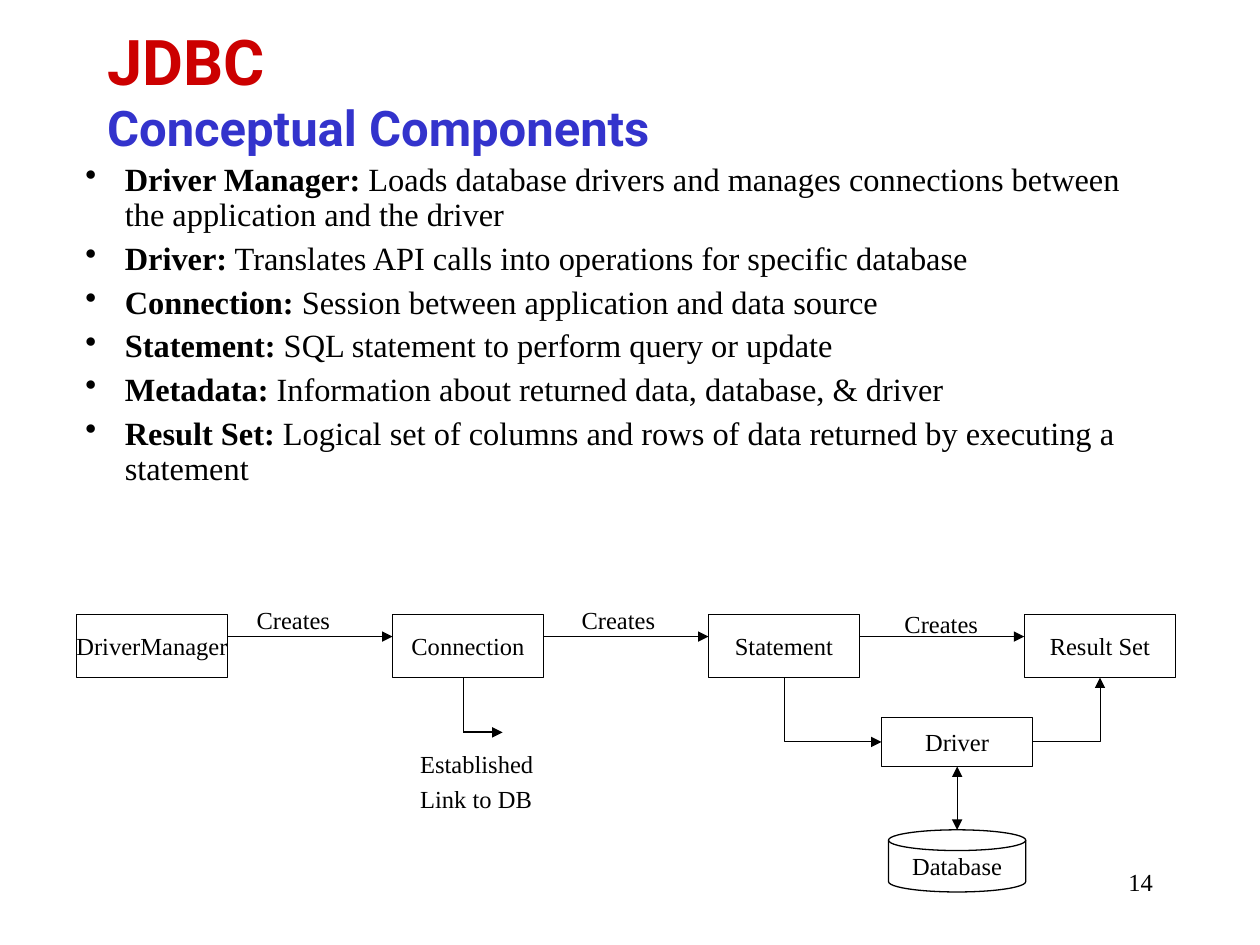
from lxml import etree
from pptx import Presentation
from pptx.dml.color import RGBColor
from pptx.enum.shapes import MSO_CONNECTOR, MSO_SHAPE
from pptx.enum.text import MSO_ANCHOR, MSO_AUTO_SIZE, PP_ALIGN
from pptx.oxml.ns import qn
from pptx.util import Pt

BLACK = RGBColor(0x00, 0x00, 0x00)
RED = RGBColor(0xCC, 0x00, 0x00)
BLUE = RGBColor(0x33, 0x33, 0xCC)
SERIF, SANS = "Times New Roman", "Roboto"
LEFT, CENTER, RIGHT = PP_ALIGN.LEFT, PP_ALIGN.CENTER, PP_ALIGN.RIGHT
MIDDLE = MSO_ANCHOR.MIDDLE
NONE, GROW = MSO_AUTO_SIZE.NONE, MSO_AUTO_SIZE.SHAPE_TO_FIT_TEXT
RECT, DISK = MSO_SHAPE.RECTANGLE, MSO_SHAPE.FLOWCHART_MAGNETIC_DISK
LINE, ELBOW = MSO_CONNECTOR.STRAIGHT, MSO_CONNECTOR.ELBOW
TOP, SIDE, BOTTOM, END = range(4)

TERMS = [
    ("Driver Manager:", " Loads database drivers and manages connections "
     "between the application and the driver"),
    ("Driver:", " Translates API calls into operations for specific database"),
    ("Connection:", " Session between application and data source"),
    ("Statement:", " SQL statement to perform query or update"),
    ("Metadata:", " Information about returned data, database, & driver"),
    ("Result Set:", " Logical set of columns and rows of data returned by "
     "executing a statement"),
]
STEPS = ["DriverManager", "Connection", "Statement", "Result Set"]


def pts(*nums):
    return [Pt(num) for num in nums]


def add_run(para, text, size, color=BLACK, bold=False, face=SERIF):
    run = para.add_run()
    run.text = text
    run.font.size = Pt(size)
    run.font.name = face
    run.font.bold = bold
    run.font.color.rgb = color


def add_text(slide, box, lines, align=LEFT, wrap=False, fit=NONE, gap=3.5):
    frame = slide.shapes.add_textbox(*pts(*box)).text_frame
    frame.word_wrap = wrap
    frame.auto_size = fit
    for i, text in enumerate(lines):
        para = frame.add_paragraph() if i else frame.paragraphs[0]
        para.alignment = align
        para.space_before = Pt(gap)
        add_run(para, text, 14)


def add_node(slide, box, text, kind=RECT):
    node = slide.shapes.add_shape(kind, *pts(*box))
    node.shadow.inherit = False
    node.fill.background()
    node.line.color.rgb = BLACK
    node.line.width = Pt(0.75)
    frame = node.text_frame
    frame.word_wrap = False
    frame.vertical_anchor = MIDDLE
    para = frame.paragraphs[0]
    para.alignment = CENTER
    para.space_before = Pt(3.5)
    add_run(para, text, 14)
    return node


def add_line(slide, ends, width, tips=("tailEnd",), kind=LINE):
    link = slide.shapes.add_connector(kind, *pts(*ends))
    link.line.color.rgb = BLACK
    link.line.width = Pt(width)
    pen = link.line._get_or_add_ln()
    for tip in tips:
        etree.SubElement(pen, qn("a:" + tip), type="triangle")
    etree.SubElement(link.element.spPr, qn("a:effectLst"))
    return link


def add_bend(slide, start, site, stop, goal, turn=False):
    link = add_line(slide, (0, 0, 0, 0), 0.5, kind=ELBOW)
    link.begin_connect(start, site)
    link.end_connect(stop, goal)
    props = link.element.spPr
    props.find(qn("a:prstGeom")).set("prst", "bentConnector2")
    if turn:
        wide, high = link.width, link.height
        link.left += (wide - high) // 2
        link.top += (high - wide) // 2
        link.width, link.height = high, wide
        form = props.find(qn("a:xfrm"))
        form.set("rot", "16200000")
        form.set("flipH", "1")


def add_title(slide, box):
    title = slide.shapes.title
    title.left, title.top, title.width, title.height = pts(*box)
    frame = title.text_frame
    frame.word_wrap = True
    frame.auto_size = NONE
    frame.vertical_anchor = MIDDLE
    para = frame.paragraphs[0]
    para.alignment = LEFT
    add_run(para, "JDBC", 36, RED, True, SANS)
    para.add_line_break()
    add_run(para, "Conceptual Components", 28, BLUE, True, SANS)


def add_terms(slide, box):
    frame = slide.shapes.add_textbox(*pts(*box)).text_frame
    frame.word_wrap = True
    for i, (term, sense) in enumerate(TERMS):
        para = frame.add_paragraph() if i else frame.paragraphs[0]
        para.line_spacing = 0.9
        para.space_before = Pt(5)
        props = para._p.get_or_add_pPr()
        props.set("marL", str(Pt(22.5)))
        props.set("indent", str(-Pt(22.5)))
        tint = etree.SubElement(props, qn("a:buClr"))
        etree.SubElement(tint, qn("a:srgbClr"), val=str(BLACK))
        etree.SubElement(props, qn("a:buChar"), char="•")
        add_run(para, term, 18.5, bold=True)
        add_run(para, sense, 18.5)


def add_flow(slide, box):
    x, y, w, h = box
    wide, high = 86.4, 36
    step = (w - wide) / (len(STEPS) - 1)
    nodes = [add_node(slide, (x + i * step, y, wide, high), name)
             for i, name in enumerate(STEPS)]
    for i in range(len(STEPS) - 1):
        left = x + i * step + wide
        add_line(slide, (left, y + 12.5, left + step - wide, y + 12.5), 1)
    for left, top in ((95.75, -9), (281.5, -9), (466, -7)):
        add_text(slide, (x + left, y + top, 63.4, 24.5), ["Creates"], fit=GROW)

    stem, foot = x + 221, y + 67.25
    add_line(slide, (stem, y + high, stem, foot), 0.75, ())
    add_line(slide, (stem, foot, stem + 22.5, foot), 1)
    add_text(slide, (x + 189.25, y + 73, 94.3, 44.6),
             ["Established", "Link to DB"], fit=GROW)

    driver = add_node(slide, (x + 460, y + 58.75, wide, 28), "Driver")
    base = add_node(slide, (x + 464, y + h - 35.5, 78.4, 35.5),
                    "Database", DISK)
    add_bend(slide, nodes[2], BOTTOM, driver, SIDE, turn=True)
    add_bend(slide, driver, END, nodes[3], BOTTOM)
    mid = x + 460 + wide / 2
    link = add_line(slide, (mid, y + 86.75, mid, base.top.pt), 0.5,
                    ("headEnd", "tailEnd"))
    link.begin_connect(driver, BOTTOM)


def main():
    deck = Presentation()
    deck.slide_width, deck.slide_height = pts(720, 540)
    slide = deck.slides.add_slide(deck.slide_layouts[5])
    add_terms(slide, (41.75, 90, 624, 240))
    add_title(slide, (54, 6, 612, 90))
    add_flow(slide, (43.75, 351.25, 628, 158.5))
    add_text(slide, (516, 492, 150, 36), ["14"], RIGHT, wrap=True, gap=0)
    deck.save("out.pptx")


if __name__ == "__main__":
    main()
